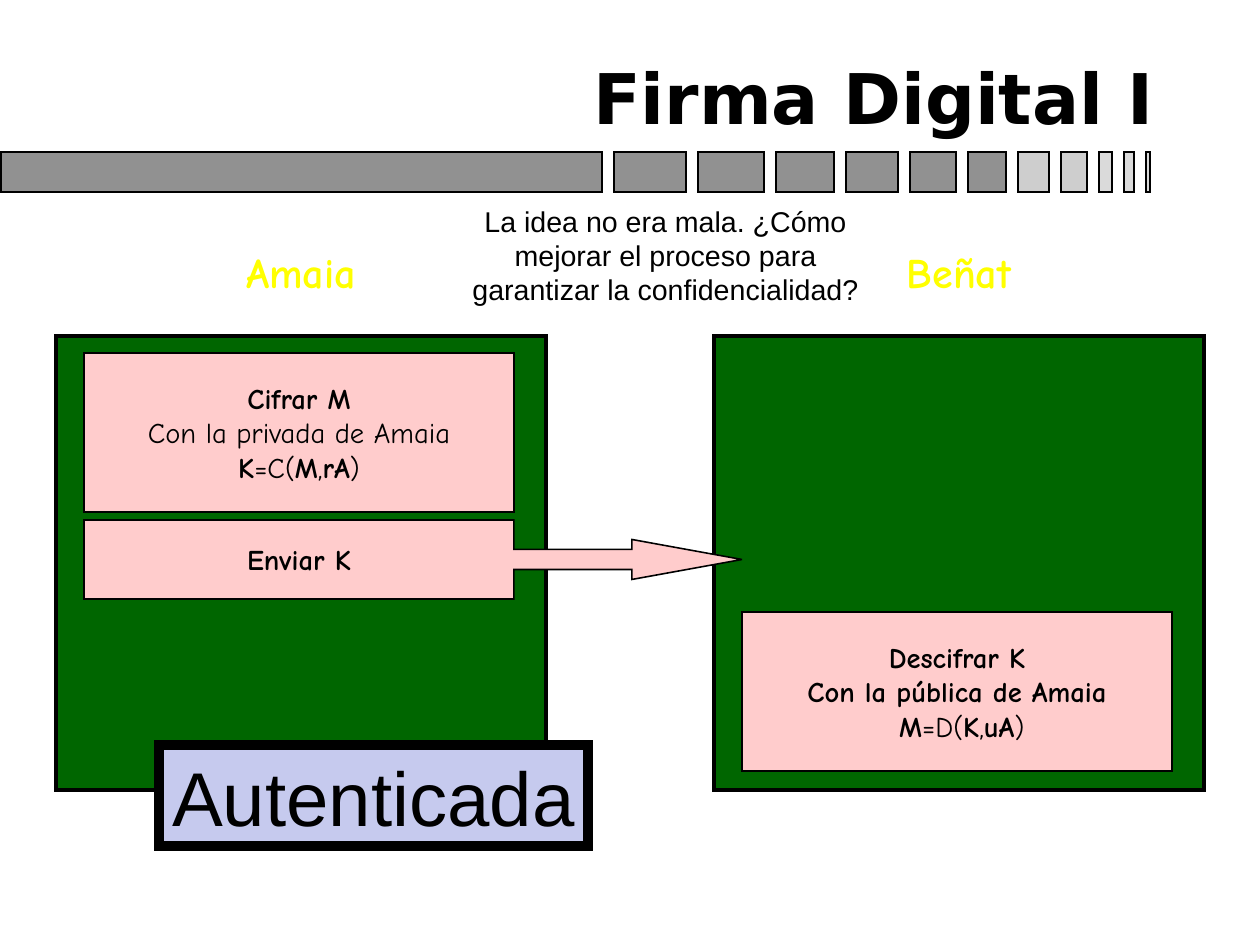
from dataclasses import dataclass

from lxml.etree import SubElement
from pptx import Presentation
from pptx.dml.color import RGBColor
from pptx.enum.shapes import MSO_SHAPE
from pptx.enum.text import MSO_ANCHOR, MSO_AUTO_SIZE, PP_ALIGN
from pptx.oxml.ns import qn
from pptx.util import Emu, Pt


@dataclass(frozen=True)
class Theme:
    # Colours
    black: str = "000000"
    green: str = "006600"
    pink: str = "FFCCCC"
    lavender: str = "C6CAEE"
    yellow: str = "FFFF00"
    dark_grey: str = "919191"
    mid_grey: str = "CECECE"
    light_grey: str = "DADADA"
    # Fonts and sizes in points
    title_font: str = "DejaVu Sans"
    hand_font: str = "Comic Neue"
    plain_font: str = "Arial"
    title_size: float = 44
    stamp_size: float = 48
    name_size: float = 26.5
    body_size: float = 18


THEME = Theme()
EMU_PER_PX = 8000  # the slide is 1260 by 945 px
LINE_BREAK = ("\n", False)

BAR_GAP = 12
BAR_SEGMENTS = (
    [(width, THEME.dark_grey) for width in (601, 72, 66, 58, 52, 46, 38)]
    + [(width, THEME.mid_grey) for width in (31, 26)]
    + [(width, THEME.light_grey) for width in (13, 10, 4)]
)


def px(*lengths):
    return [Emu(length * EMU_PER_PX) for length in lengths]


def style_paragraph(paragraph, font, size, color, bold=None, align=PP_ALIGN.CENTER):
    paragraph.alignment = align
    paragraph.font.name = font
    paragraph.font.size = Pt(size)
    paragraph.font.bold = bold
    paragraph.font.color.rgb = RGBColor.from_string(color)


def write_paragraphs(shape, paragraphs, font, size, color=THEME.black,
                     anchor=MSO_ANCHOR.MIDDLE, wrap=False):
    """Each paragraph is a list of (text, bold) runs."""
    frame = shape.text_frame
    frame.word_wrap = wrap
    frame.vertical_anchor = anchor
    for index, runs in enumerate(paragraphs):
        paragraph = frame.paragraphs[0] if index == 0 else frame.add_paragraph()
        style_paragraph(paragraph, font, size, color)
        for text, bold in runs:
            if (text, bold) == LINE_BREAK:
                paragraph.add_line_break()
                continue
            run = paragraph.add_run()
            run.text = text
            run.font.bold = bold


def add_box(slide, box, fill, line_width=1, kind=MSO_SHAPE.RECTANGLE):
    shape = slide.shapes.add_shape(kind, *px(*box))
    shape.shadow.inherit = False
    shape.fill.solid()
    shape.fill.fore_color.rgb = RGBColor.from_string(fill)
    shape.line.color.rgb = RGBColor.from_string(THEME.black)
    shape.line.width = Pt(line_width)
    # Square corners on the outline
    SubElement(shape.element.spPr.find(qn("a:ln")), qn("a:miter"), lim="800000")
    return shape


def add_step(slide, box, paragraphs):
    shape = add_box(slide, box, THEME.pink)
    write_paragraphs(shape, paragraphs, THEME.hand_font, THEME.body_size)


def add_send_arrow(slide, box, body, shaft, head_width, head_length, text):
    shape = add_box(slide, box, THEME.pink, kind=MSO_SHAPE.RIGHT_ARROW_CALLOUT)
    width, height = box[2:]
    ratios = (shaft / height, head_width / 2 / height, head_length / height, body / width)
    for index, ratio in enumerate(ratios):
        shape.adjustments[index] = ratio
    write_paragraphs(shape, [[(text, True)]], THEME.hand_font, THEME.body_size)


def add_name(slide, box, name):
    label = slide.shapes.add_textbox(*px(*box))
    label.text_frame.margin_left = label.text_frame.margin_right = 0
    write_paragraphs(label, [[(name, True)]], THEME.hand_font, THEME.name_size, THEME.yellow)


def add_question(slide, box, text):
    question = slide.shapes.add_textbox(*px(*box))
    write_paragraphs(question, [[(text, False)]], THEME.plain_font, THEME.body_size,
                     anchor=MSO_ANCHOR.TOP, wrap=True)


def add_title(slide, box, text):
    title = slide.shapes.title
    title.left, title.top, title.width, title.height = px(*box)
    frame = title.text_frame
    frame.text = text
    frame.auto_size = MSO_AUTO_SIZE.NONE
    frame.vertical_anchor = MSO_ANCHOR.BOTTOM
    style_paragraph(frame.paragraphs[0], THEME.title_font, THEME.title_size,
                    THEME.black, bold=True, align=PP_ALIGN.RIGHT)


def add_fading_bar(slide, left, top, height):
    for width, color in BAR_SEGMENTS:
        add_box(slide, (left, top, width, height), color)
        left += width + BAR_GAP


def main():
    presentation = Presentation()
    presentation.slide_width, presentation.slide_height = px(1260, 945)
    slide = presentation.slides.add_slide(presentation.slide_layouts[5])

    # Heading
    add_fading_bar(slide, 1, 152, 40)
    add_title(slide, (95, 48, 1071, 96), "Firma Digital I")

    # One panel for each person
    for left in (56, 714):
        add_box(slide, (left, 336, 490, 454), THEME.green, 2.25)

    # Steps of the signature
    add_step(slide, (84, 353, 430, 159), [
        [("Cifrar M", True), LINE_BREAK, ("Con la privada de Amaia", False)],
        [("K", True), ("=C(", False), ("M", True), (",", False), ("rA", True), (")", False)],
    ])
    add_step(slide, (742, 612, 430, 159), [
        [("Descifrar K", True)],
        [("Con la pública de Amaia", True)],
        [(" ", False), ("M", True), ("=D(", False), ("K", True), (",", False),
         ("uA", True), (")", False)],
    ])
    add_send_arrow(slide, (84, 520, 658, 79), body=430, shaft=20, head_width=40,
                   head_length=110, text="Enviar K")

    # Names above the panels
    add_name(slide, (232, 250, 138, 43), "Amaia")
    add_name(slide, (896, 250, 126, 43), "Beñat")

    # Result and closing question
    stamp = add_box(slide, (159, 745, 429, 101), THEME.lavender, 6)
    write_paragraphs(stamp, [[("Autenticada", False)]], THEME.plain_font,
                     THEME.stamp_size, anchor=MSO_ANCHOR.TOP)
    add_question(slide, (458, 198, 415, 112),
                 "La idea no era mala. ¿Cómo mejorar el proceso para garantizar "
                 "la confidencialidad?")

    presentation.save("out.pptx")


if __name__ == "__main__":
    main()
